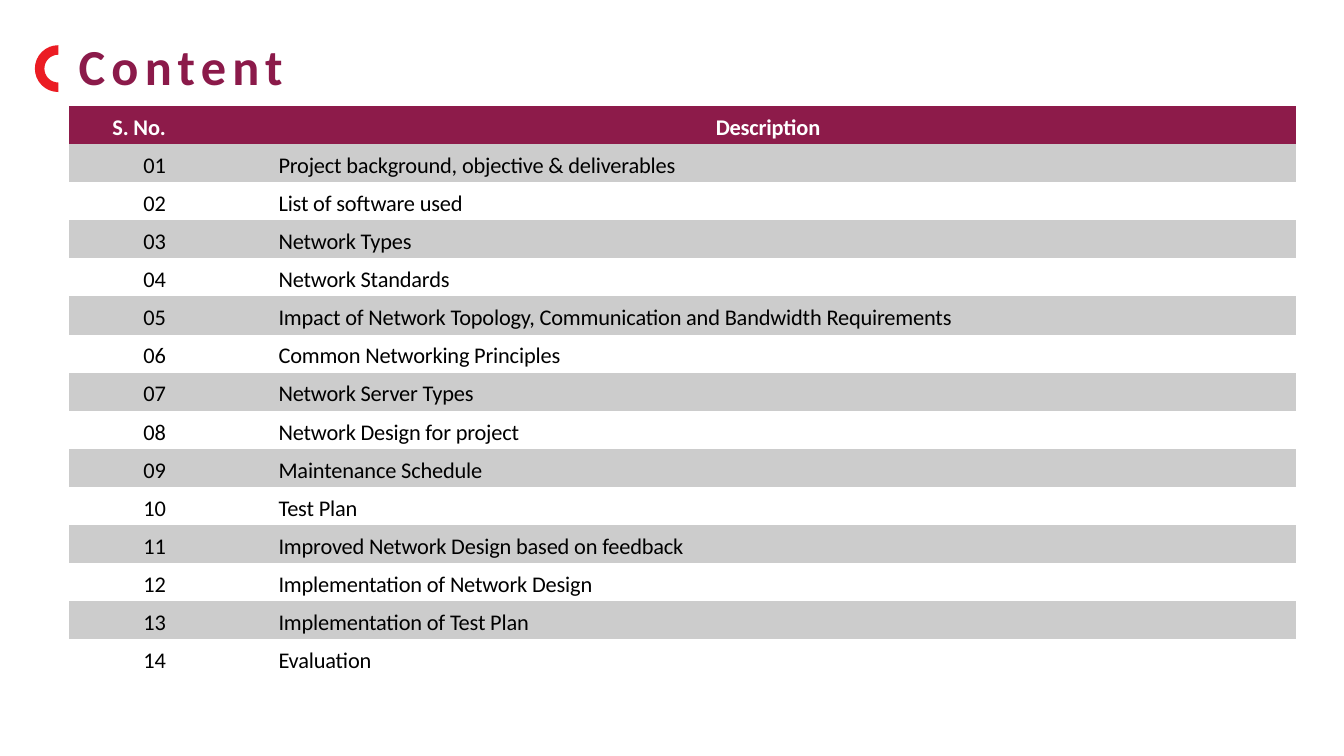
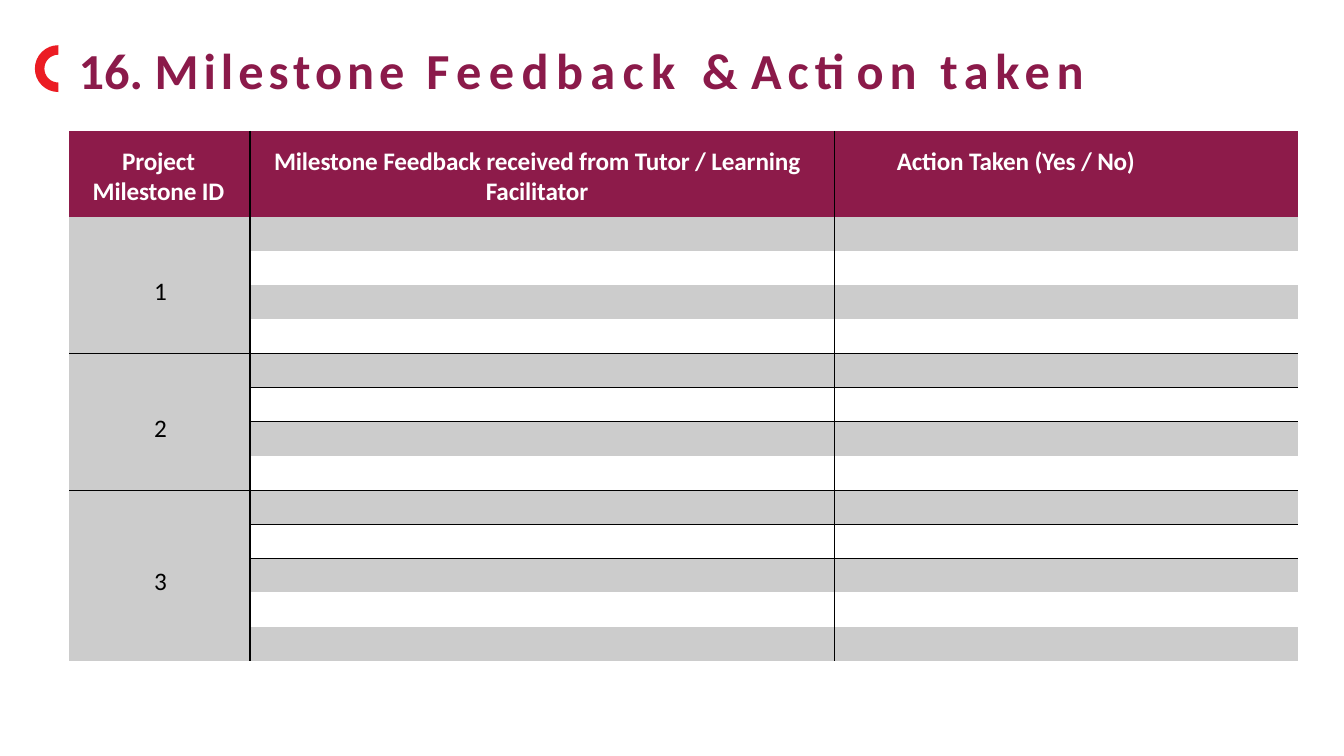
import math

from lxml import etree
from pptx import Presentation
from pptx.dml.color import RGBColor
from pptx.enum import text as txt
from pptx.oxml import ns
from pptx.util import Cm, Pt

COLORS = {"title": "8B1A4A", "header": "8D1B4A", "stripe": "CCCCCC", "plain": "FFFFFF",
          "header_text": "FFFFFF", "body_text": "000000", "border": "000000", "marker": "EB1C23"}
FONT = "Calibri"
NO_STYLE = "{2D5ABB26-0587-4C30-8999-92F81FD0307C}"
LEFT, CENTER, RIGHT = txt.PP_ALIGN.LEFT, txt.PP_ALIGN.CENTER, txt.PP_ALIGN.RIGHT

# Title runs: (text, letter spacing in points)
CONTENT_TITLE = [("Content", 4.5)]
FEEDBACK_TITLE = [("16. ", 0), ("Milestone ", 3.6), ("Feedback ", 5.3), ("& ", 0.8),
                  ("Action ", 4.3), ("taken", 4.7)]

CONTENT_HEADER = ("S. No.", "Description")
TOPICS = [
    "Project background, objective & deliverables",
    "List of software used",
    "Network Types",
    "Network Standards",
    "Impact of Network Topology, Communication and Bandwidth Requirements",
    "Common Networking Principles",
    "Network Server Types",
    "Network Design for project",
    "Maintenance Schedule",
    "Test Plan",
    "Improved Network Design based on feedback",
    "Implementation of Network Design",
    "Implementation of Test Plan",
    "Evaluation",
]

FEEDBACK_HEADER = ("Project Milestone ID",
                   "Milestone Feedback received from Tutor / Learning Facilitator",
                   "Action Taken (Yes / No)")
MILESTONES = [("1", 4), ("2", 4), ("3", 5)]  # ID, number of rows

# Cell formats: alignment and left, right, top margins in cm
NUMBER = {"align": RIGHT, "margins": (0, 1.42, 0.2)}
TOPIC_HEADER = {"align": CENTER, "margins": (0.46, 0, 0.2)}
TOPIC = {"align": LEFT, "margins": (1.42, 0, 0.2)}
FEEDBACK_FORMATS = [
    {"align": CENTER, "margins": (0.5, 0.55, 0.38)},
    {"align": CENTER, "margins": (0.1, 0.36, 0.38)},
    {"align": LEFT, "margins": (1.57, 0, 0.38)},
]
MILESTONE = {"align": CENTER, "margins": (0.05, 0, 0.33), "anchor": txt.MSO_ANCHOR.MIDDLE}
BLANK = {"align": LEFT, "margins": (0, 0, 0)}


def rgb(role):
    return RGBColor.from_string(COLORS[role])


def add_run(paragraph, words, size, color, bold, spacing):
    run = paragraph.add_run()
    run.text = words
    for key, value in {"name": FONT, "size": Pt(size), "bold": bold}.items():
        setattr(run.font, key, value)
    run.font.color.rgb = rgb(color)
    run.font._element.set("spc", str(round(spacing * 100)))


def add_marker(slide, layout):
    """Draw the half ring beside the title and move it to the shared layout."""
    center_x, center_y, outer, inner, steps = 1.47, 1.73, 0.59, 0.35, 16
    angles = [math.pi * (0.5 + step / steps) for step in range(steps + 1)]
    ring = [(outer, angle) for angle in angles] + [(inner, angle) for angle in reversed(angles)]
    points = [(Cm(center_x + radius * math.cos(angle)), Cm(center_y + radius * math.sin(angle)))
              for radius, angle in ring]
    outline = slide.shapes.build_freeform(*points[0])
    outline.add_line_segments(points[1:])
    marker = outline.convert_to_shape()
    marker.shadow.inherit = False
    marker.fill.solid()
    marker.fill.fore_color.rgb = rgb("marker")
    marker.line.fill.background()
    layout.shapes.element.append(marker.element)


def set_title(slide, runs, top):
    title = slide.shapes.title
    place = {"left": Cm(1.98), "top": Cm(top), "width": Cm(29), "height": Cm(1.6)}
    for key, value in place.items():
        setattr(title, key, value)
    frame = title.text_frame
    layout_values = {"margin_left": 0, "margin_right": 0, "margin_top": 0, "margin_bottom": 0,
                     "vertical_anchor": txt.MSO_ANCHOR.TOP, "auto_size": txt.MSO_AUTO_SIZE.NONE,
                     "word_wrap": True}
    for key, value in layout_values.items():
        setattr(frame, key, value)
    frame.paragraphs[0].alignment = LEFT
    for words, spacing in runs:
        add_run(frame.paragraphs[0], words, 36, "title", True, spacing)


def add_table(slide, top, widths, heights):
    frame = slide.shapes.add_table(len(heights), len(widths), Cm(1.74), Cm(top),
                                   Cm(sum(widths)), Cm(sum(heights)))
    for style in frame.element.iter(ns.qn("a:tableStyleId")):
        style.text = NO_STYLE
    table = frame.table
    for column, width in zip(table.columns, widths):
        column.width = Cm(width)
    for row, height in zip(table.rows, heights):
        row.height = Cm(height)
    return table


def add_borders(cell, sides):
    """Line the given sides, listed in the order L, R, T, B."""
    properties = cell._tc.get_or_add_tcPr()
    for side in sides:
        line = etree.SubElement(properties, ns.qn(f"a:ln{side}"), w=str(Pt(1)))
        fill = etree.SubElement(line, ns.qn("a:solidFill"))
        etree.SubElement(fill, ns.qn("a:srgbClr"), val=COLORS["border"])


def fill_cell(cell, words, form, row, size):
    """Write a cell; row 0 is the header and odd rows are striped."""
    left, right, top = form["margins"]
    values = {"margin_left": Cm(left), "margin_right": Cm(right), "margin_top": Cm(top),
              "margin_bottom": 0, "vertical_anchor": form.get("anchor", txt.MSO_ANCHOR.TOP)}
    for key, value in values.items():
        setattr(cell, key, value)
    cell.fill.solid()
    cell.fill.fore_color.rgb = rgb("header" if row == 0 else "stripe" if row % 2 else "plain")
    if words:
        paragraph = cell.text_frame.paragraphs[0]
        paragraph.alignment = form["align"]
        color = "body_text" if row else "header_text"
        add_run(paragraph, words, size, color, row == 0, -0.1)


def build_content(slide):
    set_title(slide, CONTENT_TITLE, 0.89)
    rows = [CONTENT_HEADER] + [(f"{n:02}", topic) for n, topic in enumerate(TOPICS, 1)]
    table = add_table(slide, 2.67, [3.86, 27.05], [0.96] * len(rows))
    for r, (number, topic) in enumerate(rows):
        fill_cell(table.cell(r, 0), number, NUMBER, r, 16)
        fill_cell(table.cell(r, 1), topic, TOPIC if r else TOPIC_HEADER, r, 16)


def build_feedback(slide):
    set_title(slide, FEEDBACK_TITLE, 0.99)
    starts, next_row = {}, 1
    for milestone, count in MILESTONES:
        starts[next_row] = (milestone, count)
        next_row += count
    table = add_table(slide, 3.3, [4.56, 14.73, 11.69], [2.17] + [0.86] * (next_row - 1))

    later_starts = list(starts)[1:]
    group_ends = {start - 1 for start in later_starts}
    lined_rows = group_ends.union(later_starts)
    last_column = len(FEEDBACK_HEADER) - 1
    for r in range(next_row):
        for c, heading in enumerate(FEEDBACK_HEADER):
            cell = table.cell(r, c)
            lined = lined_rows if c else group_ends
            edges = {"L": c > 0, "R": c < last_column, "T": r - 1 in lined, "B": r in lined}
            add_borders(cell, [side for side, drawn in edges.items() if drawn])
            if r == 0:
                fill_cell(cell, heading, FEEDBACK_FORMATS[c], r, 18)
            elif c == 0 and r in starts:
                fill_cell(cell, starts[r][0], MILESTONE, 1, 18)
            else:
                fill_cell(cell, "", BLANK, r if c else 1, 18)
    for start, (_, count) in starts.items():
        table.cell(start, 0).merge(table.cell(start + count - 1, 0))


def main():
    deck = Presentation()
    deck.slide_width, deck.slide_height = Cm(33.87), Cm(19.05)
    layout = deck.slide_layouts[5]
    slides = []
    for build in (build_content, build_feedback):
        slides.append(deck.slides.add_slide(layout))
        build(slides[-1])
    add_marker(slides[0], layout)
    deck.save("out.pptx")


if __name__ == "__main__":
    main()
